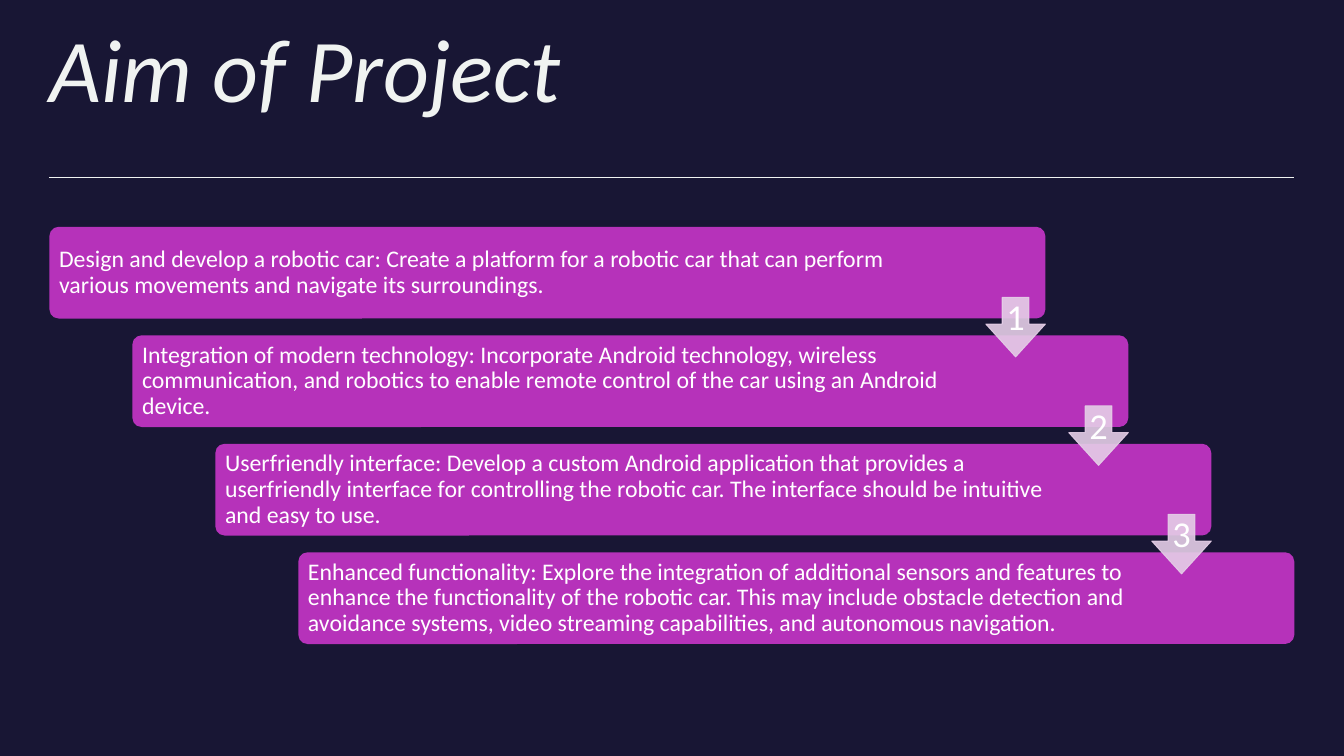
import dataclasses
import lxml.etree
import pptx
import pptx.dml.color
import pptx.enum.shapes
import pptx.enum.text
import pptx.oxml.ns
import pptx.util

TITLE = "Aim of Project"
# Each aim: its wording and the right inset of its bar
AIMS = [
    ("Design and develop a robotic car: Create a platform for a robotic car "
     "that can perform various movements and navigate its surroundings.", 77),
    ("Integration of modern technology: Incorporate Android technology, "
     "wireless communication, and robotics to enable remote control of the "
     "car using an Android device.", 107),
    ("Userfriendly interface: Develop a custom Android application that "
     "provides a userfriendly interface for controlling the robotic car. The "
     "interface should be intuitive and easy to use.", 107),
    ("Enhanced functionality: Explore the integration of additional sensors "
     "and features to enhance the functionality of the robotic car. This may "
     "include obstacle detection and avoidance systems, video streaming "
     "capabilities, and autonomous navigation.", 107),
]


@dataclasses.dataclass
class Theme:
    font: str = "Calibri"
    back: str = "181634"
    pale: str = "F0F3F1"
    bar: str = "B632BA"
    arrow: str = "E5CEE7"
    white: str = "FFFFFF"
    head: int = 64
    body: int = 17
    digit: int = 26


theme = Theme()
Pt = pptx.util.Pt
KIND = pptx.enum.shapes.MSO_SHAPE
ALIGN = pptx.enum.text.PP_ALIGN
ANCHOR = pptx.enum.text.MSO_ANCHOR

LEFT, RIGHT = 35.3, 924.5
TOP, PITCH = 162, 77.5
BAR_W, BAR_H = 711.4, 65.5
ARROW, DROP = 42.5, 50.4
STEP = (RIGHT - LEFT - BAR_W) / (len(AIMS) - 1)


def rgb(code):
    return pptx.dml.color.RGBColor.from_string(code)


def write(shape, text, size, color, align, anchor, insets):
    """Fill a shape with one paragraph; insets run left, top, right, bottom."""
    frame = shape.text_frame
    frame.text = text
    frame.word_wrap = True
    frame.auto_size = pptx.enum.text.MSO_AUTO_SIZE.NONE
    frame.vertical_anchor = anchor
    (frame.margin_left, frame.margin_top,
     frame.margin_right, frame.margin_bottom) = map(Pt, insets)
    para = frame.paragraphs[0]
    para.alignment = align
    para.line_spacing = 0.9
    para.font.name = theme.font
    para.font.size = Pt(size)
    para.font.color.rgb = rgb(color)
    return para


def draw(slide, kind, box, color, adjust):
    shape = slide.shapes.add_shape(kind, *map(Pt, box))
    shape.shadow.inherit = False
    shape.fill.solid()
    shape.fill.fore_color.rgb = rgb(color)
    shape.line.fill.background()
    for index, value in enumerate(adjust):
        shape.adjustments[index] = value
    return shape


def add_bar(slide, index, text, inset):
    box = (LEFT + index * STEP, TOP + index * PITCH, BAR_W, BAR_H)
    bar = draw(slide, KIND.ROUNDED_RECTANGLE, box, theme.bar, [0.1])
    write(bar, text, theme.body, theme.white, ALIGN.LEFT, ANCHOR.MIDDLE,
          (5, 5, inset, 5))


def add_arrow(slide, index):
    box = (LEFT + index * STEP + BAR_W - ARROW,
           TOP + index * PITCH + DROP, ARROW, ARROW)
    arrow = draw(slide, KIND.DOWN_ARROW, box, theme.arrow, [0.45, 0.55])
    arrow.line.color.rgb = rgb(theme.arrow)
    arrow.line.width = Pt(0.75)
    tag = pptx.oxml.ns.qn("a:srgbClr")
    for color in arrow.element.spPr.iter(tag):
        alpha = lxml.etree.SubElement(color, pptx.oxml.ns.qn("a:alpha"))
        alpha.set("val", "90000")
    write(arrow, str(index + 1), theme.digit, theme.white, ALIGN.CENTER,
          ANCHOR.MIDDLE, (3, 3, 3, 4))


def add_rule(slide):
    rule = slide.shapes.add_connector(
        pptx.enum.shapes.MSO_CONNECTOR.STRAIGHT,
        Pt(LEFT), Pt(126.7), Pt(RIGHT), Pt(126.7))
    rule.line.color.rgb = rgb(theme.pale)
    rule.line.width = Pt(0.5)
    lxml.etree.SubElement(rule.element.spPr, pptx.oxml.ns.qn("a:effectLst"))


def main():
    deck = pptx.Presentation()
    deck.slide_width, deck.slide_height = Pt(960), Pt(540)
    slide = deck.slides.add_slide(deck.slide_layouts[5])
    slide.background.fill.solid()
    slide.background.fill.fore_color.rgb = rgb(theme.back)

    title = slide.shapes.title
    title.left, title.top = Pt(LEFT), Pt(18)
    title.width, title.height = Pt(890), Pt(78)
    para = write(title, TITLE, theme.head, theme.pale, ALIGN.LEFT,
                 ANCHOR.TOP, (0, 0, 0, 0))
    para.font.italic = True

    add_rule(slide)
    for index, (text, inset) in enumerate(AIMS):
        add_bar(slide, index, text, inset)
    for index in range(len(AIMS) - 1):
        add_arrow(slide, index)
    deck.save("out.pptx")


if __name__ == "__main__":
    main()
